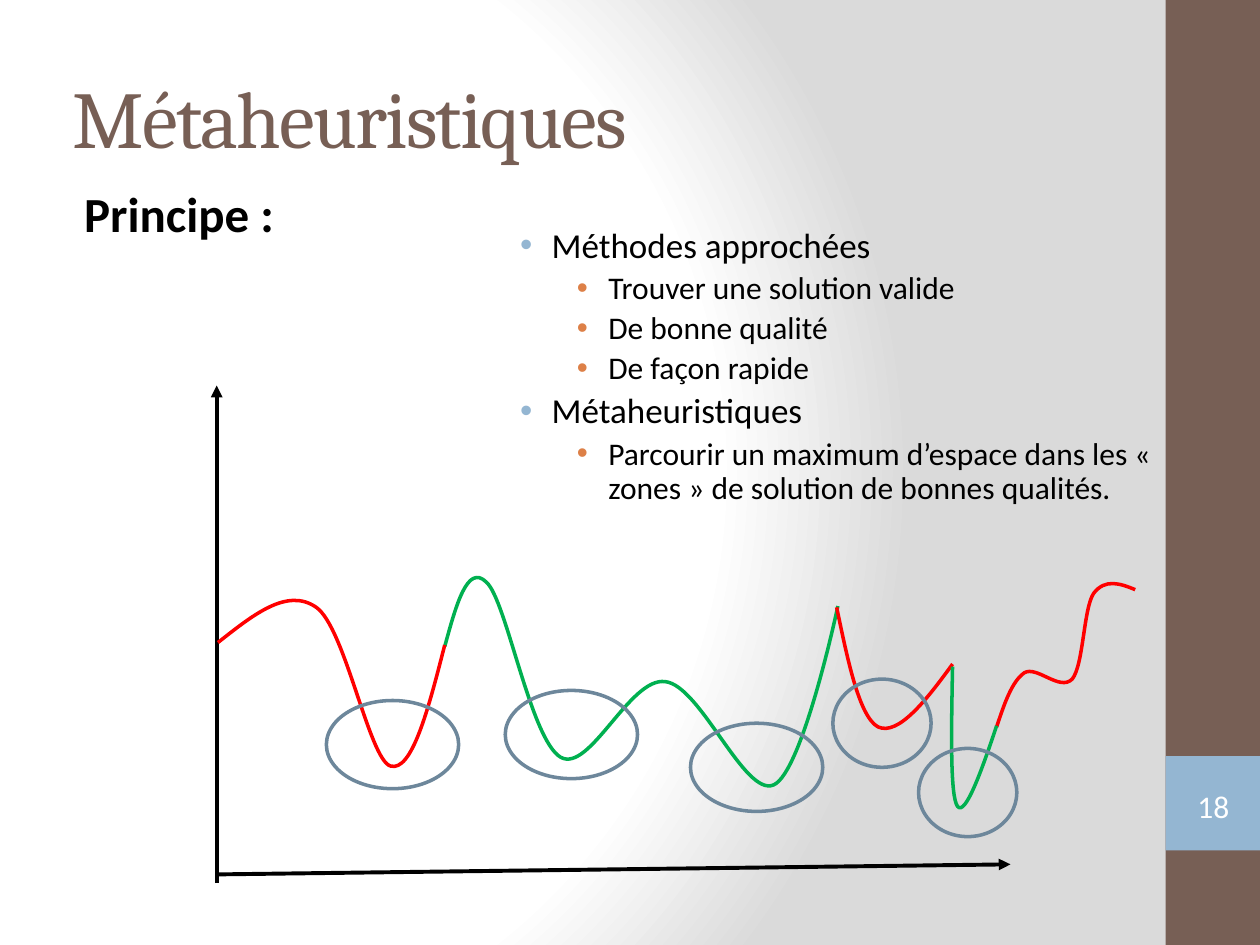
from lxml import etree
from pptx import Presentation
from pptx.dml.color import RGBColor
from pptx.enum.shapes import MSO_CONNECTOR, MSO_SHAPE
from pptx.enum.text import MSO_ANCHOR, PP_ALIGN
from pptx.oxml.ns import qn
from pptx.util import Inches, Pt

RECTANGLE, ELLIPSE, BRACKETS = MSO_SHAPE.RECTANGLE, MSO_SHAPE.OVAL, MSO_SHAPE.DOUBLE_BRACKET
STRAIGHT = MSO_CONNECTOR.STRAIGHT
TOP, MIDDLE = MSO_ANCHOR.TOP, MSO_ANCHOR.MIDDLE
CENTER = PP_ALIGN.CENTER

BROWN, BLUE, ORANGE, SLATE = "775F55", "94B6D2", "DD8047", "6D879B"
RED, GREEN, BLACK, WHITE = "FF0000", "00B050", "000000", "FFFFFF"


def color(value):
    return RGBColor.from_string(value)


def add_xml(parent, tag, **attributes):
    return etree.SubElement(parent, qn(tag), attributes)


class SlideBuilder:
    body_font = "Calibri"
    title_font = "Cambria"

    def __init__(self, slide):
        self.slide = slide

    def radial_background(self, stops):
        self.slide.background.fill.gradient()
        gradient = next(self.slide.element.iter(qn("a:gradFill")))
        for child in list(gradient):
            gradient.remove(child)
        stop_list = add_xml(gradient, "a:gsLst")
        for percent, value in stops:
            stop = add_xml(stop_list, "a:gs", pos=str(percent * 1000))
            add_xml(stop, "a:srgbClr", val=value)
        path = add_xml(gradient, "a:path")
        path.set("path", "circle")
        add_xml(path, "a:fillToRect", l="20000", t="50000", r="100000", b="50000")

    def shape(self, kind, left, top, width, height, fill=None, line=None):
        shape = self.slide.shapes.add_shape(
            kind, Inches(left), Inches(top), Inches(width), Inches(height))
        self.paint(shape, fill, line)
        return shape

    def paint(self, shape, fill, line):
        shape.shadow.inherit = False
        if fill:
            shape.fill.solid()
            shape.fill.fore_color.rgb = color(fill)
        else:
            shape.fill.background()
        if line:
            shape.line.color.rgb = color(line)
            shape.line.width = Pt(2)
        else:
            shape.line.fill.background()

    def text_box(self, left, top, width, height, anchor=TOP):
        box = self.slide.shapes.add_textbox(
            Inches(left), Inches(top), Inches(width), Inches(height))
        frame = box.text_frame
        frame.word_wrap = True
        frame.vertical_anchor = anchor
        return frame

    def style(self, paragraph, size, value, name=None, bold=False):
        font = paragraph.font
        font.name = name or self.body_font
        font.size = Pt(size)
        font.bold = bold
        font.color.rgb = color(value)

    def title(self, text, left, top, width, height):
        paragraph = self.text_box(left, top, width, height, MIDDLE).paragraphs[0]
        paragraph.text = text
        self.style(paragraph, 46, BROWN, self.title_font)
        paragraph._p.pPr.find(qn("a:defRPr")).set("spc", "-100")

    def heading(self, text, left, top, width, height):
        paragraph = self.text_box(left, top, width, height).paragraphs[0]
        paragraph.text = text
        paragraph.line_spacing = 0.9
        paragraph._p.get_or_add_pPr().set("marL", str(Inches(0.12)))
        self.style(paragraph, 28, BLACK, bold=True)

    def bullets(self, items, left, top, width, height):
        frame = self.text_box(left, top, width, height)
        levels = [(0.25, 20, BLUE), (0.7, 18, ORANGE)]
        for index, (level, text) in enumerate(items):
            indent, size, bullet_color = levels[level]
            paragraph = frame.add_paragraph() if index else frame.paragraphs[0]
            paragraph.text = text
            paragraph.level = level
            paragraph.line_spacing = 0.9
            if index:
                paragraph.space_before = Pt(size * 0.2)
            properties = paragraph._p.get_or_add_pPr()
            properties.set("marL", str(Inches(indent)))
            properties.set("indent", str(Inches(-0.25)))
            add_xml(add_xml(properties, "a:buClr"), "a:srgbClr", val=bullet_color)
            add_xml(properties, "a:buFont", typeface="Arial")
            add_xml(properties, "a:buChar", char="•")
            self.style(paragraph, size, BLACK)

    def arrow(self, start, end):
        connector = self.slide.shapes.add_connector(
            STRAIGHT, *(Inches(value) for value in start + end))
        connector.line.color.rgb = color(BLACK)
        connector.line.width = Pt(2.25)
        add_xml(connector.line._get_or_add_ln(), "a:tailEnd", type="triangle")
        add_xml(connector._element.spPr, "a:effectLst")

    def curve(self, shapes, line, start, segments):
        """Each segment holds two control points and an end point."""
        builder = shapes.build_freeform(Inches(start[0]), Inches(start[1]))
        ends = [(Inches(x), Inches(y)) for _, _, (x, y) in segments]
        builder.add_line_segments(ends, close=False)
        shape = builder.convert_to_shape()
        self.paint(shape, None, line)
        # Turn the straight segments into Bézier segments
        steps = list(shape._element.iter(qn("a:lnTo")))
        for step, (first, second, _) in zip(steps, segments):
            step.tag = qn("a:cubicBezTo")
            for position, (x, y) in enumerate((first, second)):
                point = etree.Element(qn("a:pt"), x=str(Inches(x) - shape.left),
                                      y=str(Inches(y) - shape.top))
                step.insert(position, point)


def main():
    presentation = Presentation()
    presentation.slide_width, presentation.slide_height = Inches(10), Inches(7.5)
    slide = presentation.slides.add_slide(presentation.slide_layouts[6])
    builder = SlideBuilder(slide)

    # Background and side band
    builder.radial_background([(0, WHITE), (75, WHITE), (100, "DADADA")])
    builder.shape(RECTANGLE, 9.25, 0, 0.75, 7.5, fill=BROWN)
    builder.shape(RECTANGLE, 9.25, 6, 0.75, 0.75, fill=BLUE)

    # Title, slide number and heading
    builder.title("Métaheuristiques", 0.48, 0.3, 8.33, 1.25)
    number = builder.shape(BRACKETS, 9.33, 6.18, 0.6, 0.43).text_frame
    number.margin_left = number.margin_right = number.margin_top = number.margin_bottom = 0
    number.vertical_anchor = MIDDLE
    number.text = "18"
    number.paragraphs[0].alignment = CENTER
    builder.style(number.paragraphs[0], 18, WHITE)
    builder.heading("Principe :", 0.45, 1.46, 8.85, 1.04)

    # Axes
    builder.arrow((1.72, 6.94), (8.02, 6.86))
    builder.arrow((1.72, 7.01), (1.72, 3.06))

    # Cost curve
    curves = slide.shapes.add_group_shape().shapes
    builder.curve(curves, GREEN, (3.53, 5.13), [
        ((3.62, 4.8), (3.71, 4.47), (3.86, 4.62)),
        ((4.02, 4.76), (4.21, 5.87), (4.45, 6.01)),
        ((4.68, 6.14), (5, 5.37), (5.28, 5.41)),
        ((5.56, 5.44), (5.91, 6.33), (6.14, 6.23)),
        ((6.37, 6.13), (6.65, 4.81), (6.65, 4.81))])
    builder.curve(curves, RED, (3.53, 5.12), [
        ((3.4, 5.63), (3.27, 6.13), (3.1, 6.08)),
        ((2.93, 6.03), (2.74, 4.98), (2.51, 4.82)),
        ((2.28, 4.66), (2.01, 4.88), (1.73, 5.1))])
    builder.curve(curves, RED, (6.64, 4.82), [
        ((6.73, 5.25), (6.82, 5.69), (6.97, 5.77)),
        ((7.13, 5.84), (7.35, 5.56), (7.56, 5.27))])
    builder.curve(curves, RED, (7.91, 5.77), [
        ((7.97, 5.59), (8.03, 5.41), (8.13, 5.34)),
        ((8.23, 5.28), (8.41, 5.49), (8.51, 5.39)),
        ((8.6, 5.28), (8.6, 4.83), (8.68, 4.71)),
        ((8.77, 4.59), (8.89, 4.63), (9.01, 4.68))])
    builder.curve(curves, GREEN, (7.56, 5.29), [
        ((7.55, 5.81), (7.54, 6.32), (7.6, 6.4)),
        ((7.66, 6.48), (7.79, 6.12), (7.91, 5.76))])

    # Explanations
    builder.bullets([
        (0, "Méthodes approchées"),
        (1, "Trouver une solution valide"),
        (1, "De bonne qualité"),
        (1, "De façon rapide"),
        (0, "Métaheuristiques"),
        (1, "Parcourir un maximum d’espace dans les « zones » de solution de bonnes qualités."),
    ], 4.03, 1.76, 5.47, 2.71)

    # Zones around the local minima
    for left, top, width in [(2.59, 5.56, 1.05), (4.01, 5.48, 1.05), (5.48, 5.74, 1.05),
                             (6.61, 5.39, 0.78), (7.29, 5.94, 0.78)]:
        builder.shape(ELLIPSE, left, top, width, 0.7, line=SLATE)

    presentation.save("out.pptx")


if __name__ == "__main__":
    main()
